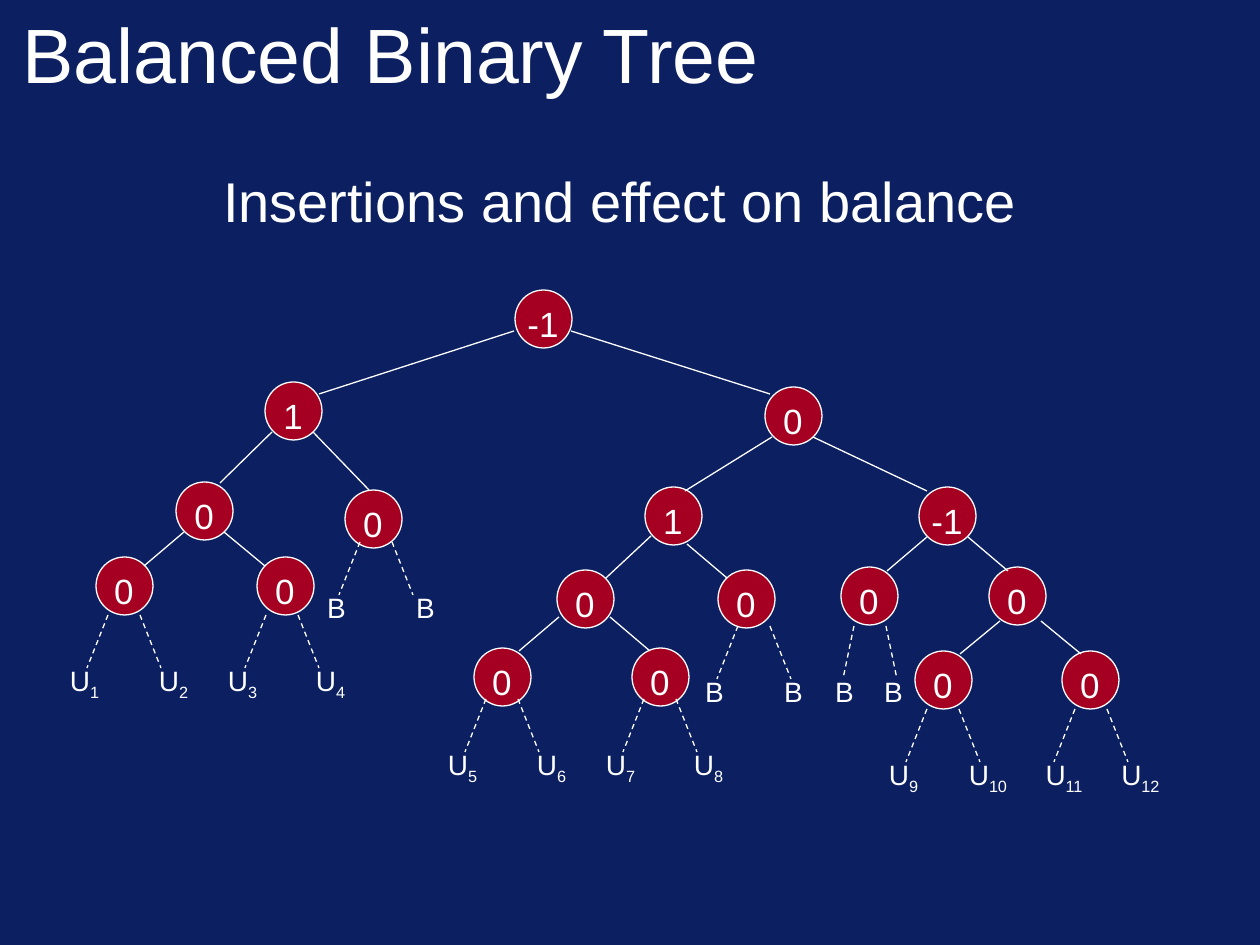
import pptx
import pptx.dml.color
import pptx.enum.dml
import pptx.enum.shapes
import pptx.enum.text
import pptx.oxml.ns
import pptx.util
from lxml import etree

PX = 914400 // 126  # EMU per px
COLORS = {"background": "0B1F61", "node": "A50021", "ink": "FFFFFF"}
FONT = "Arial"
ALIGN = pptx.enum.text.PP_ALIGN
ANCHOR = pptx.enum.text.MSO_ANCHOR
FIT = pptx.enum.text.MSO_AUTO_SIZE

NODE_W, NODE_H = 57, 58
LEAF_W, LEAF_GAP, LEAF_DROP = 59, 32, 53

# balance, left, top
NODES = [
    ("-1", 515, 290),
    ("1", 265, 382), ("0", 765, 387),
    ("0", 176, 482), ("0", 345, 490), ("1", 645, 487), ("-1", 919, 487),
    ("0", 96, 557), ("0", 257, 557), ("0", 557, 570), ("0", 718, 570),
    ("0", 841, 567), ("0", 989, 567),
    ("0", 474, 648), ("0", 632, 648), ("0", 915, 651), ("0", 1062, 651),
]

# from x, from y, to x, to y
EDGES = [
    (514, 331, 319, 394), (571, 331, 770, 394),
    (272, 432, 220, 483), (313, 432, 369, 490),
    (772, 437, 685, 491), (813, 437, 927, 491),
    (184, 532, 144, 566), (224, 532, 265, 566),
    (651, 536, 606, 578), (687, 544, 727, 578),
    (927, 537, 887, 571), (968, 537, 1008, 571),
    (559, 617, 519, 651), (610, 617, 650, 651),
    (1000, 621, 960, 654), (1041, 621, 1081, 654),
]

# left branch x, branch y, spread, then (letter, subscript, left, width) twice
INSERTIONS = [
    (108, 615, 21, ("U", "1", 55, LEAF_W), ("U", "2", 144, LEAF_W)),
    (266, 615, 21, ("U", "3", 213, LEAF_W), ("U", "4", 301, LEAF_W)),
    (486, 699, 21, ("U", "5", 433, LEAF_W), ("U", "6", 522, LEAF_W)),
    (644, 699, 21, ("U", "7", 591, LEAF_W), ("U", "8", 679, LEAF_W)),
    (927, 709, 21, ("U", "9", 874, LEAF_W), ("U", "10", 937, 102)),
    (1075, 709, 21, ("U", "11", 1022, 84), ("U", "12", 1095, 91)),
    (854, 626, 11, ("B", "", 815, LEAF_W), ("B", "", 864, LEAF_W)),
    (738, 626, 21, ("B", "", 685, LEAF_W), ("B", "", 764, LEAF_W)),
    (360, 542, 21, ("B", "", 307, LEAF_W), ("B", "", 396, LEAF_W)),
]


def rgb(name):
    return pptx.dml.color.RGBColor.from_string(COLORS[name])


class TreeSlide:
    def __init__(self, prs):
        self.slide = prs.slides.add_slide(prs.slide_layouts[1])
        fill = self.slide.background.fill
        fill.solid()
        fill.fore_color.rgb = rgb("background")

    def style_runs(self, p, size):
        for r in p.runs:
            r.font.size = pptx.util.Pt(size)
            r.font.name = FONT
            r.font.color.rgb = rgb("ink")

    def style_line(self, line):
        line.color.rgb = rgb("ink")
        line.width = pptx.util.Pt(0.75)

    def heading(self, sp, text, box, size, align, anchor):
        """Move, fill and format a placeholder holding one paragraph."""
        sp.left, sp.top, sp.width, sp.height = (v * PX for v in box)
        tf = sp.text_frame
        tf.text = text
        tf.auto_size = FIT.NONE
        tf.vertical_anchor = anchor
        p = tf.paragraphs[0]
        p.alignment = align
        p.space_before = pptx.util.Pt(0)
        self.style_runs(p, size)
        return p

    def title(self, text):
        self.heading(self.slide.shapes.title, text, (10, -10, 1134, 126), 44,
                     ALIGN.LEFT, ANCHOR.MIDDLE)

    def body(self, text):
        p = self.heading(self.slide.placeholders[1], text, (53, 168, 1134, 73),
                         32, ALIGN.CENTER, ANCHOR.TOP)
        p.line_spacing = 0.9
        pPr = p._p.get_or_add_pPr()
        pPr.set("marL", "0")
        pPr.set("indent", "0")
        etree.SubElement(pPr, pptx.oxml.ns.qn("a:buNone"))

    def label(self, shapes, text, x, y, w, h, size, subscript=""):
        sp = shapes.add_textbox(x * PX, y * PX, w * PX, h * PX)
        tf = sp.text_frame
        tf.word_wrap = True
        tf.auto_size = FIT.SHAPE_TO_FIT_TEXT
        tf.text = text
        p = tf.paragraphs[0]
        p.alignment = ALIGN.CENTER
        if subscript:
            r = p.add_run()
            r.text = subscript
            r._r.get_or_add_rPr().set("baseline", "-25000")
        self.style_runs(p, size)

    def node(self, balance, x, y):
        shapes = self.slide.shapes.add_group_shape().shapes
        sp = shapes.add_shape(pptx.enum.shapes.MSO_SHAPE.OVAL,
                              x * PX, y * PX, NODE_W * PX, NODE_H * PX)
        sp.shadow.inherit = False
        sp.fill.solid()
        sp.fill.fore_color.rgb = rgb("node")
        self.style_line(sp.line)
        self.label(shapes, balance, x - 8, y + 6, 72, 55, 20)

    def edge(self, x1, y1, x2, y2, dashed=False):
        cxn = self.slide.shapes.add_connector(
            pptx.enum.shapes.MSO_CONNECTOR.STRAIGHT,
            x1 * PX, y1 * PX, x2 * PX, y2 * PX)
        self.style_line(cxn.line)
        if dashed:
            cxn.line.dash_style = pptx.enum.dml.MSO_LINE.DASH
        etree.SubElement(cxn._element.spPr, pptx.oxml.ns.qn("a:effectLst"))

    def insertion(self, x, y, spread, *leaves):
        """Draw the two possible insertion points below a node."""
        for letter, subscript, left, w in leaves:
            h = 52 if subscript else 47
            self.label(self.slide.shapes, letter, left, y + 42, w, h, 16, subscript)
        self.edge(x, y, x - spread, y + LEAF_DROP, dashed=True)
        right = x + LEAF_GAP
        self.edge(right, y, right + spread, y + LEAF_DROP, dashed=True)


def main():
    prs = pptx.Presentation()
    prs.slide_width = pptx.util.Inches(10)
    prs.slide_height = pptx.util.Inches(7.5)
    s = TreeSlide(prs)
    s.title("Balanced Binary Tree")
    s.body("Insertions and effect on balance")
    for node in NODES:
        s.node(*node)
    for edge in EDGES:
        s.edge(*edge)
    for insertion in INSERTIONS:
        s.insertion(*insertion)
    prs.save("out.pptx")


if __name__ == "__main__":
    main()
